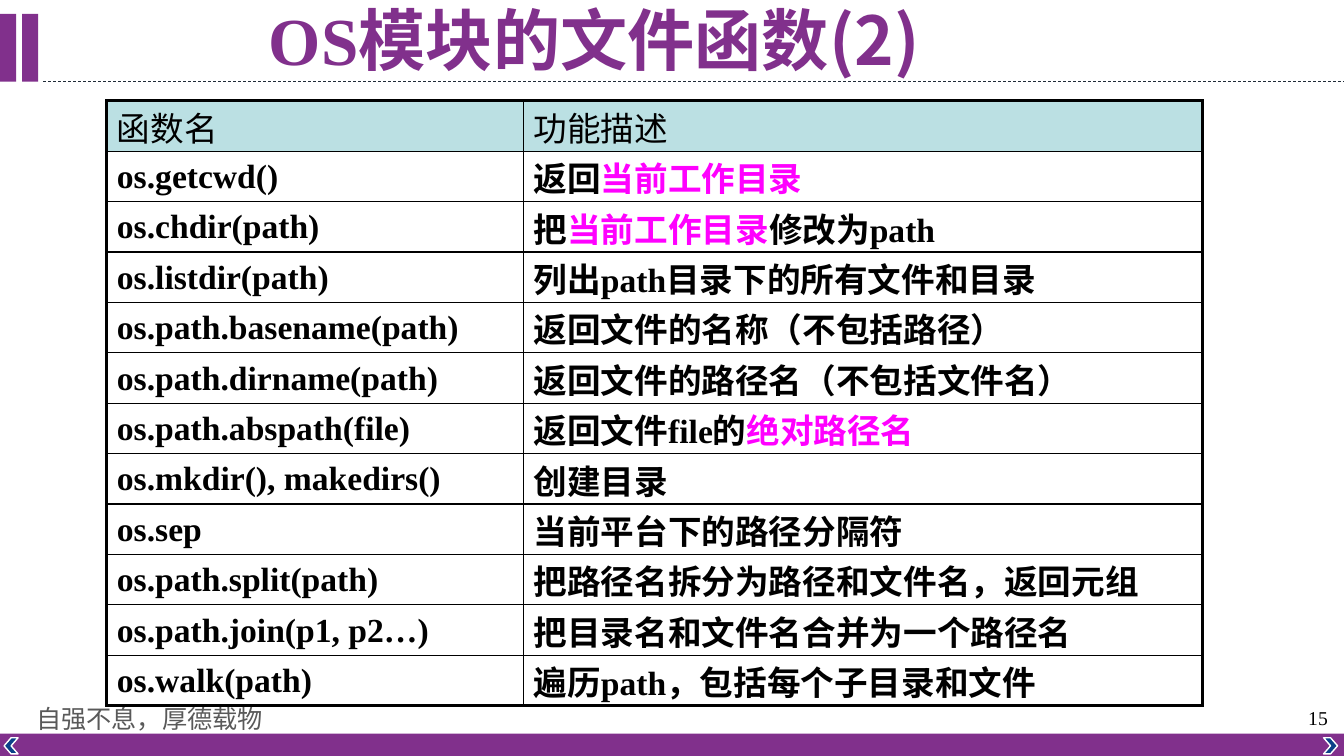
from lxml import etree
from pptx import Presentation
from pptx import util as u
from pptx.dml.color import RGBColor
from pptx.enum import dml, shapes, text
from pptx.oxml.ns import qn

Pt = u.Pt
PURPLE = RGBColor(0x81, 0x30, 0x8C)
NAVY = RGBColor(0x0B, 0x41, 0x89)
SLATE = RGBColor(0x1F, 0x2B, 0x37)
GRAY = RGBColor(0x59, 0x59, 0x59)
BLACK = RGBColor(0, 0, 0)
WHITE = RGBColor(0xFF, 0xFF, 0xFF)
MAGENTA = RGBColor(0xFF, 0, 0xFF)
HEADER_FILL = RGBColor(0xBB, 0xE0, 0xE3)
SERIF, SANS = "Times New Roman", "Noto Sans CJK SC"

TITLE = [("OS", SERIF), ("模块的文件函数(2)", SANS)]
MOTTO = "自强不息，厚德载物"
PAGE = "15"
HEADER = ("函数名", ["功能描述"])
# Every second piece of a description is highlighted.
FUNCTIONS = [
    ("os.getcwd()", ["返回", "当前工作目录"]),
    ("os.chdir(path)", ["把", "当前工作目录", "修改为path"]),
    ("os.listdir(path)", ["列出path目录下的所有文件和目录"]),
    ("os.path.basename(path)", ["返回文件的名称（不包括路径）"]),
    ("os.path.dirname(path)", ["返回文件的路径名（不包括文件名）"]),
    ("os.path.abspath(file)", ["返回文件file的", "绝对路径名"]),
    ("os.mkdir(), makedirs()", ["创建目录"]),
    ("os.sep", ["当前平台下的路径分隔符"]),
    ("os.path.split(path)", ["把路径名拆分为路径和文件名，返回元组"]),
    ("os.path.join(p1, p2…)", ["把目录名和文件名合并为一个路径名"]),
    ("os.walk(path)", ["遍历path，包括每个子目录和文件"]),
]

WIDTH, HEIGHT = 960, 540
COLUMNS = (297.8, 485)
ROW_HEIGHT = 36
THICK, THIN = 2.25, 1


def add_run(p, content, size, color=BLACK, bold=False, latin=SERIF):
    """Add a run with a Latin font and the Chinese font beside it."""
    r = p.add_run()
    r.text = content
    f = r.font
    f.size, f.bold, f.name = Pt(size), bold, latin
    f.color.rgb = color
    ea = etree.SubElement(r._r.get_or_add_rPr(), qn("a:ea"))
    ea.set("typeface", SANS)


def add_filled(slide, kind, left, top, width, height, fill, line=None):
    sp = slide.shapes.add_shape(kind, Pt(left), Pt(top), Pt(width), Pt(height))
    sp.shadow.inherit = False
    sp.fill.solid()
    sp.fill.fore_color.rgb = fill
    if line is None:
        sp.line.fill.background()
    else:
        sp.line.color.rgb = line
        sp.line.width = Pt(1)
    return sp


def add_label(slide, left, top, width, height, content, size, color):
    tf = slide.shapes.add_textbox(Pt(left), Pt(top), Pt(width), Pt(height)).text_frame
    tf.word_wrap = True
    add_run(tf.paragraphs[0], content, size, color)


def set_borders(cell, widths):
    """Draw the left, right, top and bottom borders; they precede the fill."""
    tcPr = cell._tc.get_or_add_tcPr()
    for i, (side, width) in enumerate(zip("LRTB", widths)):
        ln = etree.Element(qn(f"a:ln{side}"), w=str(Pt(width)))
        fill = etree.SubElement(ln, qn("a:solidFill"))
        etree.SubElement(fill, qn("a:srgbClr"), val=str(BLACK))
        tcPr.insert(i, ln)


def add_decoration(slide):
    rule = slide.shapes.add_connector(
        shapes.MSO_CONNECTOR.STRAIGHT, Pt(31), Pt(58.3), Pt(WIDTH), Pt(58.3))
    rule.line.color.rgb = SLATE
    rule.line.width = Pt(0.5)
    rule.line.dash_style = dml.MSO_LINE.DASH
    etree.SubElement(rule._element.spPr, qn("a:effectLst"))

    rect, chevron = shapes.MSO_SHAPE.RECTANGLE, shapes.MSO_SHAPE.CHEVRON
    for left in (0, 15.8):
        add_filled(slide, rect, left, 10, 11.5, 48.3, PURPLE)
    add_filled(slide, rect, 0, 524, WIDTH, 16, PURPLE)
    for left, angle in ((945.4, 0), (2.9, 180)):
        arrow = add_filled(slide, chevron, left, 527, 10, 11.5, NAVY, WHITE)
        arrow.rotation = angle
    add_label(slide, 18.7, 499, 177, 29, MOTTO, 18, GRAY)
    add_label(slide, 927.4, 501, 32.6, 24.5, PAGE, 14, BLACK)


def add_title(slide):
    title = slide.shapes.title
    title.left, title.top, title.width, title.height = Pt(31.7), Pt(3.6), Pt(785.5), Pt(54.7)
    tf = title.text_frame
    tf.auto_size = text.MSO_AUTO_SIZE.NONE
    tf.vertical_anchor = text.MSO_ANCHOR.MIDDLE
    p = tf.paragraphs[0]
    p.alignment = text.PP_ALIGN.CENTER
    p.line_spacing = 0.9
    for content, latin in TITLE:
        add_run(p, content, 48, PURPLE, True, latin)


def add_function_table(slide):
    rows = [HEADER] + FUNCTIONS
    last = len(rows) - 1
    table = slide.shapes.add_table(
        len(rows), 2, Pt(76.3), Pt(72), Pt(sum(COLUMNS)), Pt(ROW_HEIGHT * len(rows))).table
    for column, width in zip(table.columns, COLUMNS):
        column.width = Pt(width)
    for i, (name, description) in enumerate(rows):
        table.rows[i].height = Pt(ROW_HEIGHT)
        for j, pieces in enumerate(([name], description)):
            cell = table.cell(i, j)
            cell.vertical_anchor = text.MSO_ANCHOR.MIDDLE
            cell.margin_top, cell.margin_bottom = Pt(1), Pt(0)
            cell.fill.solid()
            cell.fill.fore_color.rgb = HEADER_FILL if i == 0 else WHITE
            outer = (j == 0, j == 1, i == 0, i == last)
            set_borders(cell, [THICK if edge else THIN for edge in outer])
            p = cell.text_frame.paragraphs[0]
            for k, piece in enumerate(pieces):
                add_run(p, piece, 24, MAGENTA if k % 2 else BLACK, i > 0)


def main():
    prs = Presentation()
    prs.slide_width, prs.slide_height = Pt(WIDTH), Pt(HEIGHT)
    slide = prs.slides.add_slide(prs.slide_layouts[5])
    add_decoration(slide)
    add_title(slide)
    add_function_table(slide)
    prs.save("out.pptx")


if __name__ == "__main__":
    main()
